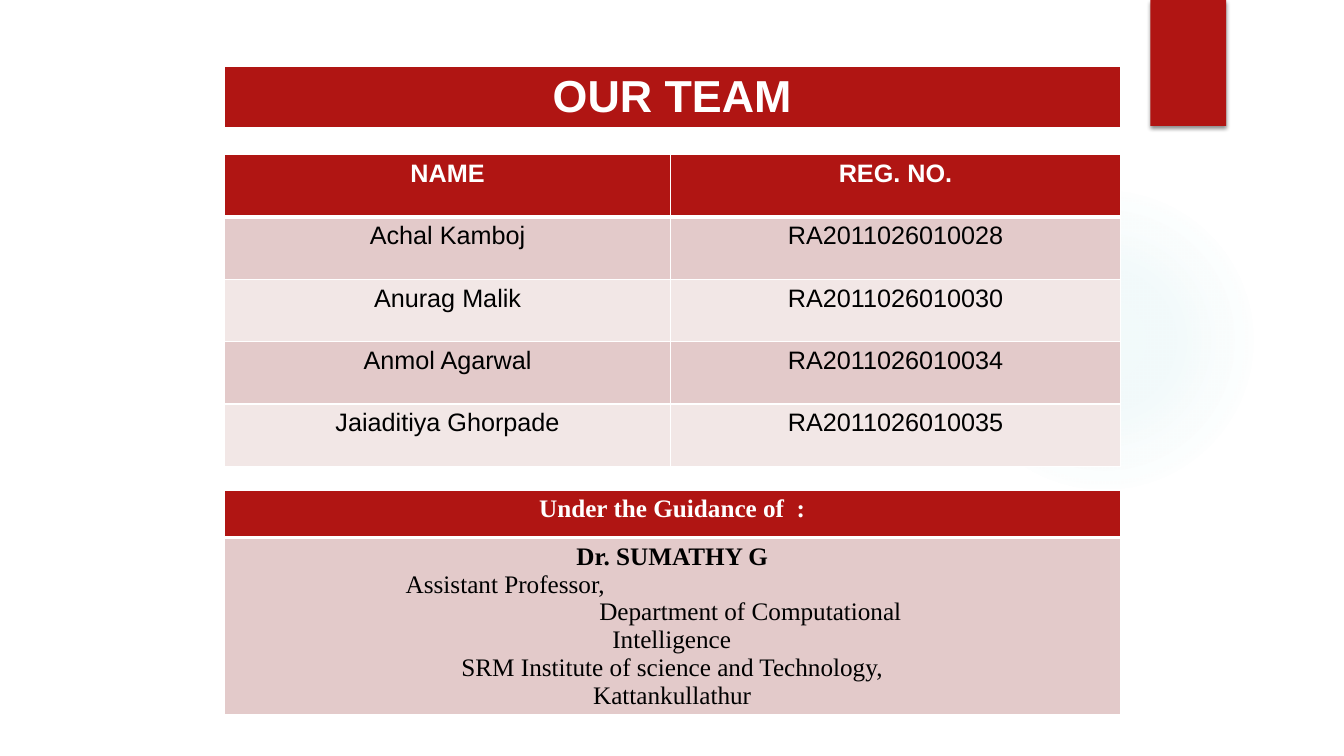
from dataclasses import dataclass

from lxml import etree
from pptx import Presentation
from pptx.dml import color
from pptx.enum import shapes, text
from pptx.oxml import ns
from pptx.util import Pt

COLORS = {"red": "B01513", "dark_band": "E3CACA", "light_band": "F2E7E6",
          "white": "FFFFFF", "black": "000000", "glow": "4CB9C3"}
LEFT, WIDTH = 160.2, 640
A = ns.nsdecls("a")
CENTER, START = text.PP_ALIGN.CENTER, text.PP_ALIGN.LEFT


@dataclass
class Line:
    text: str
    font: str = "Arial"
    size: float = 18
    bold: bool = False
    color: str = "black"
    align: text.PP_ALIGN = CENTER
    left: float = 0
    right: float = 0
    hanging: float = 0


@dataclass
class Grid:
    top: float
    cols: list[float]
    heights: list[float]
    rows: list[list[list[Line]]]


def rgb(name: str) -> color.RGBColor:
    return color.RGBColor.from_string(COLORS[name])


def write(tf, lines: list[Line]) -> None:
    for i, line in enumerate(lines):
        p = tf.add_paragraph() if i else tf.paragraphs[0]
        p.alignment = line.align
        pPr = p._p.get_or_add_pPr()
        for key, value in {"marL": line.left, "marR": line.right,
                           "indent": -line.hanging}.items():
            if value:
                pPr.set(key, str(Pt(value)))
        r = p.add_run()
        r.text = line.text
        for key, value in {"name": line.font, "size": Pt(line.size),
                           "bold": line.bold}.items():
            setattr(r.font, key, value)
        r.font.color.rgb = rgb(line.color)


def set_borders(cell, top: float, bottom: float) -> None:
    tcPr = cell._tc.get_or_add_tcPr()
    widths = {"lnL": 1, "lnR": 1, "lnT": top, "lnB": bottom}
    for i, (side, width) in enumerate(widths.items()):
        tcPr.insert(i, etree.fromstring(
            f'<a:{side} {A} w="{Pt(width)}"><a:solidFill>'
            f'<a:srgbClr val="{COLORS["white"]}"/></a:solidFill></a:{side}>'))


def add_grid(s, grid: Grid) -> None:
    """Add a table with a red header row and alternating pink rows."""
    tbl = s.shapes.add_table(len(grid.rows), len(grid.cols), Pt(LEFT), Pt(grid.top),
                             Pt(sum(grid.cols)), Pt(sum(grid.heights))).table
    for col, width in zip(tbl.columns, grid.cols):
        col.width = Pt(width)
    for i, (row, height) in enumerate(zip(grid.rows, grid.heights)):
        tbl.rows[i].height = Pt(height)
        fill = "red" if i == 0 else "dark_band" if i % 2 else "light_band"
        for j, lines in enumerate(row):
            cell = tbl.cell(i, j)
            cell.fill.solid()
            cell.fill.fore_color.rgb = rgb(fill)
            set_borders(cell, 3 if i == 1 else 1, 3 if i == 0 else 1)
            write(cell.text_frame, lines)


def add_glow(s) -> None:
    sp = s.shapes.add_shape(shapes.MSO_SHAPE.OVAL, Pt(677.5), Pt(131.8), Pt(221.8), Pt(221.8))
    sp.shadow.inherit = False
    sp.line.fill.background()
    stops = "".join(
        f'<a:gs pos="{pos}000"><a:srgbClr val="{COLORS["glow"]}">'
        f'<a:alpha val="{alpha}000"/></a:srgbClr></a:gs>'
        for pos, alpha in [(0, 7), (36, 6), (69, 0), (100, 0)])
    sp._element.spPr.find(ns.qn("a:prstGeom")).addnext(etree.fromstring(
        f'<a:gradFill {A}><a:gsLst>{stops}</a:gsLst><a:path path="circle">'
        '<a:fillToRect l="50000" t="50000" r="50000" b="50000"/></a:path></a:gradFill>'))


def add_ribbon(s) -> None:
    sp = s.shapes.add_shape(shapes.MSO_SHAPE.RECTANGLE, Pt(821.8), 0, Pt(54), Pt(90))
    sp.fill.solid()
    sp.fill.fore_color.rgb = rgb("red")
    sp.line.fill.background()
    sp.shadow.inherit = False
    sp._element.spPr.find(ns.qn("a:effectLst")).append(etree.fromstring(
        f'<a:outerShdw {A} blurRad="{Pt(3)}" dist="{Pt(2)}" dir="5400000" rotWithShape="0">'
        f'<a:srgbClr val="{COLORS["black"]}"><a:alpha val="45000"/></a:srgbClr></a:outerShdw>'))


def header(words: str, font: str = "Arial", size: float = 18) -> Line:
    return Line(words, font, size, True, "white")


SERIF = "Times New Roman"
MEMBERS = [("Achal Kamboj", "RA2011026010028"), ("Anurag Malik", "RA2011026010030"),
           ("Anmol Agarwal", "RA2011026010034"), ("Jaiaditiya Ghorpade", "RA2011026010035")]
TEAM = Grid(110.2, [319, 321], [44.6] * 5,
            [[[header("NAME")], [header("REG. NO.")]]]
            + [[[Line(name)], [Line(number)]] for name, number in MEMBERS])
HEADING = Grid(47.5, [WIDTH], [44.6], [[[header("OUR TEAM", size=32)]]])
GUIDE = Grid(350, [WIDTH], [34, 126], [
    [[header("Under the Guidance of  :", SERIF)]],
    [[Line("Dr. SUMATHY G", SERIF, bold=True),
      Line("Assistant Professor,", SERIF, align=START, left=122.4, right=122.4),
      Line("Department of Computational Intelligence", SERIF, align=START,
           left=270, right=122.4, hanging=9.3),
      Line("SRM Institute of science and Technology, Kattankullathur", SERIF,
           left=122.4, right=122.4)]]])


def main() -> None:
    prs = Presentation()
    prs.slide_width, prs.slide_height = Pt(960), Pt(540)
    s = prs.slides.add_slide(prs.slide_layouts[6])
    add_glow(s)
    add_ribbon(s)
    for grid in (TEAM, HEADING, GUIDE):
        add_grid(s, grid)
    prs.save("out.pptx")


if __name__ == "__main__":
    main()
